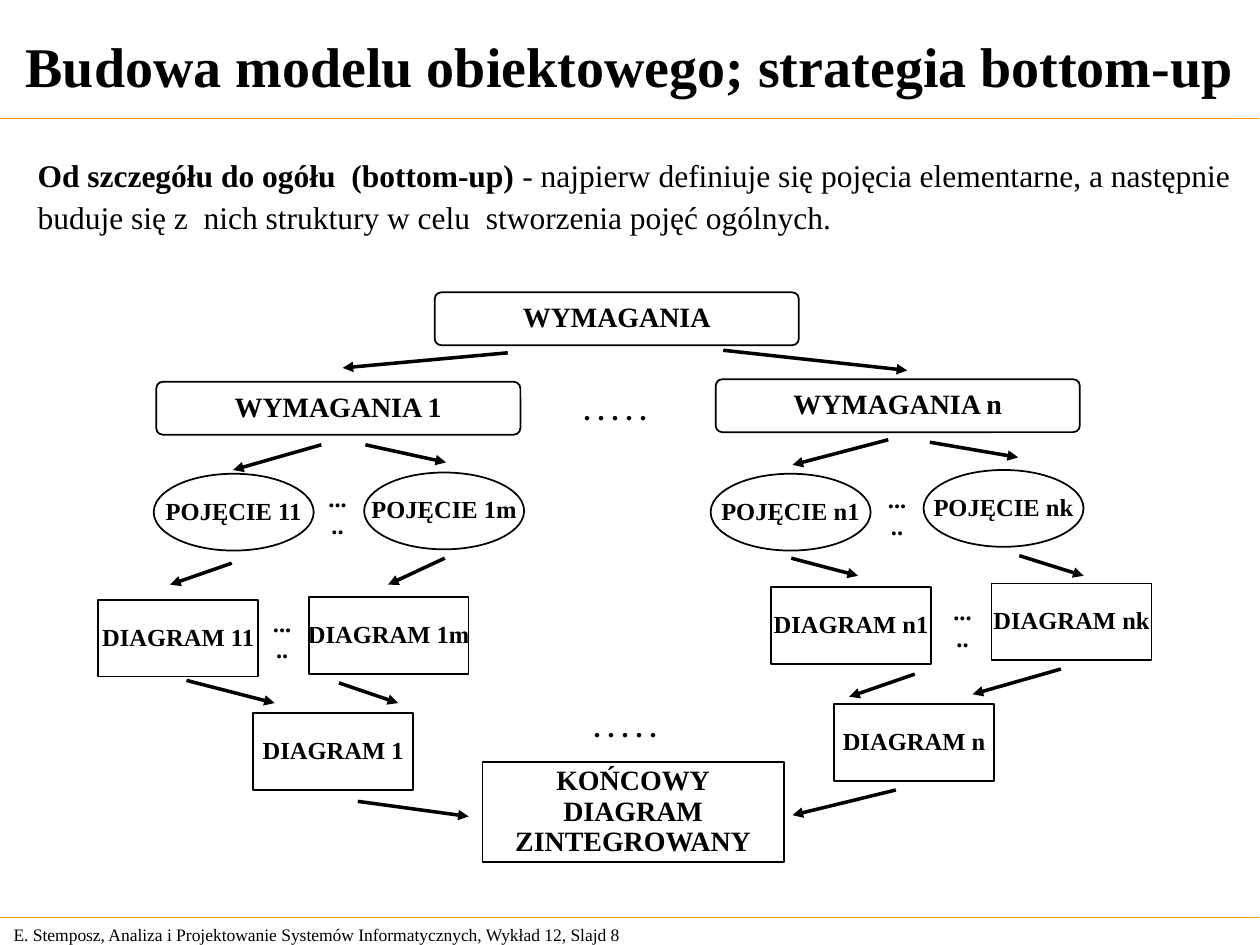
from pptx import Presentation
from pptx.dml.color import RGBColor
from pptx.enum.shapes import MSO_CONNECTOR, MSO_SHAPE
from pptx.enum.text import MSO_ANCHOR, PP_ALIGN
from pptx.oxml.ns import qn
from pptx.util import Pt
from lxml.etree import SubElement

SCALE = 9144
BLACK = RGBColor(0, 0, 0)
ORANGE = RGBColor(255, 153, 0)
FONT = "Times New Roman"

deck = Presentation()
deck.slide_width = 1000 * SCALE
deck.slide_height = 750 * SCALE
page = deck.slides.add_slide(deck.slide_layouts[6])


def write(box, text, size=14, bold=True, align=PP_ALIGN.CENTER, spacing=0.9,
          gap=0, anchor=MSO_ANCHOR.MIDDLE, wrap=False, lead=""):
    frame = box.text_frame
    frame.word_wrap = wrap
    frame.vertical_anchor = anchor
    for index, line in enumerate(text.split("\n")):
        para = frame.paragraphs[0] if index == 0 else frame.add_paragraph()
        para.alignment = align
        para.line_spacing = spacing
        if index:
            para.space_before = Pt(gap)
        parts = [(lead, True), (line, bold)] if lead and index == 0 else [(line, bold)]
        for content, heavy in parts:
            span = para.add_run()
            span.text = content
            span.font.name = FONT
            span.font.size = Pt(size)
            span.font.bold = heavy
            span.font.color.rgb = BLACK


def draw_line(ends, color, width, arrow=False):
    line = page.shapes.add_connector(MSO_CONNECTOR.STRAIGHT, *[end * SCALE for end in ends])
    line.line.color.rgb = color
    line.line.width = Pt(width)
    if arrow:
        SubElement(line.line._get_or_add_ln(), qn("a:tailEnd"), type="triangle")
    SubElement(line._element.spPr, qn("a:effectLst"))


footer = page.shapes.add_textbox(1 * SCALE, 728 * SCALE, 524 * SCALE, 27 * SCALE)
write(footer, "E. Stemposz, Analiza i Projektowanie Systemów Informatycznych, Wykład 12, Slajd 8",
      size=10, bold=False, align=PP_ALIGN.LEFT, spacing=1.0)

for rule_top in (94, 728):
    draw_line((-1, rule_top, 999, rule_top), ORANGE, 0.75)

title = page.shapes.add_textbox(0, 6 * SCALE, 1000 * SCALE, 92 * SCALE)
write(title, "Budowa modelu obiektowego; strategia bottom-up", size=32, spacing=1.0, wrap=True)

body = page.shapes.add_textbox(20 * SCALE, 122 * SCALE, 998 * SCALE, 74 * SCALE)
write(body, " - najpierw definiuje się pojęcia elementarne, a następnie\n"
            "buduje się z  nich struktury w celu  stworzenia pojęć ogólnych.",
      size=18, bold=False, align=PP_ALIGN.LEFT, gap=4.5, anchor=MSO_ANCHOR.TOP, wrap=True,
      lead="Od szczegółu do ogółu  (bottom-up)")

node_groups = [
    (MSO_SHAPE.ROUNDED_RECTANGLE, 289, 42, 16,
     [("WYMAGANIA", 345, 232), ("WYMAGANIA n", 568, 301), ("WYMAGANIA 1", 124, 303)]),
    (MSO_SHAPE.OVAL, 127, 61, 14,
     [("POJĘCIE 11", 122, 376), ("POJĘCIE 1m", 289, 375),
      ("POJĘCIE n1", 564, 376), ("POJĘCIE nk", 733, 373)]),
    (MSO_SHAPE.RECTANGLE, 127, 61, 14,
     [("DIAGRAM 11", 78, 476), ("DIAGRAM 1m", 245, 474), ("DIAGRAM n1", 612, 466),
      ("DIAGRAM nk", 787, 463), ("DIAGRAM 1", 201, 566), ("DIAGRAM n", 662, 559)]),
    (MSO_SHAPE.RECTANGLE, 239, 79, 16, [("KOŃCOWY\nDIAGRAM\nZINTEGROWANY", 383, 605)]),
]
for outline, width, height, size, nodes in node_groups:
    for label, left, top in nodes:
        node = page.shapes.add_shape(outline, left * SCALE, top * SCALE, width * SCALE, height * SCALE)
        if outline == MSO_SHAPE.ROUNDED_RECTANGLE:
            node.adjustments[0] = 0.125
        node.shadow.inherit = False
        node.fill.background()
        node.line.color.rgb = BLACK
        node.line.width = Pt(1)
        write(node, label, size=size)

arrows = [
    (403, 280, 272, 292), (574, 278, 720, 294),
    (255, 353, 185, 373), (290, 353, 354, 367), (705, 349, 629, 369), (738, 351, 808, 363),
    (184, 447, 135, 464), (353, 443, 308, 464), (628, 443, 681, 457), (809, 441, 860, 457),
    (148, 540, 218, 558), (269, 542, 316, 558), (726, 535, 674, 553), (842, 531, 772, 551),
    (284, 636, 372, 648), (711, 627, 629, 647),
]
for ends in arrows:
    draw_line(ends, BLACK, 2, arrow=True)

ellipses = [
    (". . . . . ", 16, 136, 41, [(423, 306), (431, 558)]),
    (".....", 14, 36, 28, [(694, 394), (746, 483), (206, 492), (250, 393)]),
]
for dots, size, width, height, places in ellipses:
    for left, top in places:
        box = page.shapes.add_textbox(left * SCALE, top * SCALE, width * SCALE, height * SCALE)
        write(box, dots, size=size)

deck.save("out.pptx")
